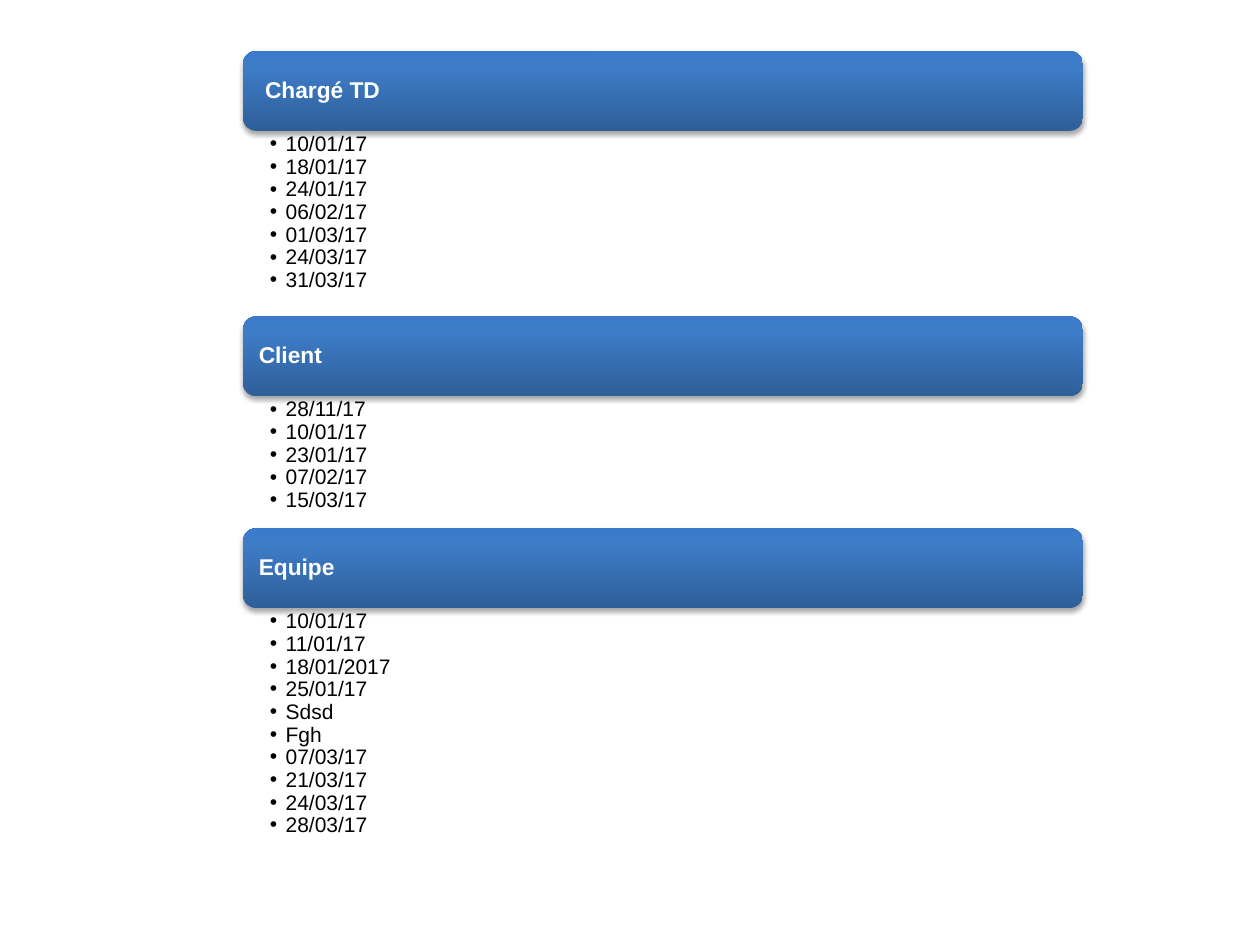
from copy import deepcopy

from lxml import etree
from pptx import Presentation
from pptx.dml.color import RGBColor
from pptx.enum.shapes import MSO_SHAPE as Shape
from pptx.enum.text import MSO_ANCHOR as Anchor, PP_ALIGN as Align
from pptx.oxml.ns import qn
from pptx.util import Cm, Pt

COLORS = {
    "bar_bottom": "2F5F99",
    "bar_middle": "3D7CC7",
    "bar_top": "3A7CCB",
    "heading": "FFFFFF",
    "body": "000000",
    "shadow": "000000",
}
BAR_STOPS = [(0, "bar_bottom"), (0.8, "bar_middle"), (1, "bar_top")]
FONT = "Arial"
LEFT, TOP, WIDTH = 4.9, 1.03, 16.93
BAR_HEIGHT = 1.61
LINE_HEIGHT = 0.54

SECTIONS = [
    (" Chargé TD", ["10/01/17", "18/01/17", "24/01/17", "06/02/17",
                    "01/03/17", "24/03/17", "31/03/17"]),
    ("Client", ["28/11/17", "10/01/17", "23/01/17", "07/02/17", "15/03/17"]),
    ("Equipe", ["10/01/17", "11/01/17", "18/01/2017", "25/01/17", "Sdsd",
                "Fgh", "07/03/17", "21/03/17", "24/03/17", "28/03/17"]),
]


def color(name):
    return RGBColor.from_string(COLORS[name])


def set_insets(text_frame, left, top, right, bottom):
    text_frame.margin_left, text_frame.margin_top = Cm(left), Cm(top)
    text_frame.margin_right, text_frame.margin_bottom = Cm(right), Cm(bottom)


def format_paragraph(paragraph, size, color_name, bold=False):
    paragraph.alignment = Align.LEFT
    paragraph.line_spacing = 0.9
    for run in paragraph.runs:
        run.font.name = FONT
        run.font.size = Pt(size)
        run.font.bold = bold
        run.font.color.rgb = color(color_name)


def fill_gradient(shape):
    """Fill from bottom to top with the three bar colours."""
    shape.fill.gradient()
    shape.fill.gradient_angle = 90
    stop_list = shape.element.spPr.find(qn("a:gradFill")).find(qn("a:gsLst"))
    stop_list.append(deepcopy(stop_list[0]))
    for stop, (position, name) in zip(shape.fill.gradient_stops, BAR_STOPS):
        stop.position = position
        stop.color.rgb = color(name)


def add_drop_shadow(shape):
    shape.shadow.inherit = False
    effects = shape.element.spPr.find(qn("a:effectLst"))
    shadow = etree.SubElement(
        effects, qn("a:outerShdw"), blurRad=str(Pt(3.1)), dist=str(Pt(1.8)),
        dir="5400000", rotWithShape="0")
    shade = etree.SubElement(shadow, qn("a:srgbClr"), val=COLORS["shadow"])
    etree.SubElement(shade, qn("a:alpha"), val="35000")


def add_bullet(paragraph):
    properties = paragraph._p.get_or_add_pPr()
    properties.set("marL", str(Cm(0.32)))
    properties.set("indent", str(Cm(-0.32)))
    bullet_color = etree.SubElement(properties, qn("a:buClr"))
    etree.SubElement(bullet_color, qn("a:srgbClr"), val=COLORS["body"])
    etree.SubElement(properties, qn("a:buFont"), typeface=FONT)
    etree.SubElement(properties, qn("a:buChar"), char="•")


def add_heading_bar(slide, left, top, width, height, heading):
    bar = slide.shapes.add_shape(
        Shape.ROUNDED_RECTANGLE, Cm(left), Cm(top), Cm(width), Cm(height))
    bar.adjustments[0] = 0.167
    fill_gradient(bar)
    bar.line.fill.background()
    add_drop_shadow(bar)
    text_frame = bar.text_frame
    text_frame.word_wrap = True
    text_frame.vertical_anchor = Anchor.MIDDLE
    set_insets(text_frame, 0.24, 0.24, 0.13, 0.24)
    text_frame.text = heading
    format_paragraph(text_frame.paragraphs[0], 13, "heading", bold=True)


def add_date_list(slide, left, top, width, height, dates):
    box = slide.shapes.add_textbox(Cm(left), Cm(top), Cm(width), Cm(height))
    text_frame = box.text_frame
    text_frame.word_wrap = True
    set_insets(text_frame, 0.54, 0.05, 0.23, 0.05)
    text_frame.text = "\n".join(dates)
    for paragraph in text_frame.paragraphs:
        paragraph.level = 1
        format_paragraph(paragraph, 12, "body")
        add_bullet(paragraph)


def add_section(slide, left, top, width, heading, dates):
    """Place a bar with its list below it and return the bottom edge."""
    list_top = top + BAR_HEIGHT
    list_height = LINE_HEIGHT * len(dates) - 0.04
    add_heading_bar(slide, left, top, width, BAR_HEIGHT, heading)
    add_date_list(slide, left, list_top, width, list_height, dates)
    return list_top + list_height


def main():
    presentation = Presentation()
    presentation.slide_width, presentation.slide_height = Cm(25.4), Cm(19.05)
    slide = presentation.slides.add_slide(presentation.slide_layouts[6])
    top = TOP
    for heading, dates in SECTIONS:
        top = add_section(slide, LEFT, top, WIDTH, heading, dates)
    presentation.save("out.pptx")


if __name__ == "__main__":
    main()
